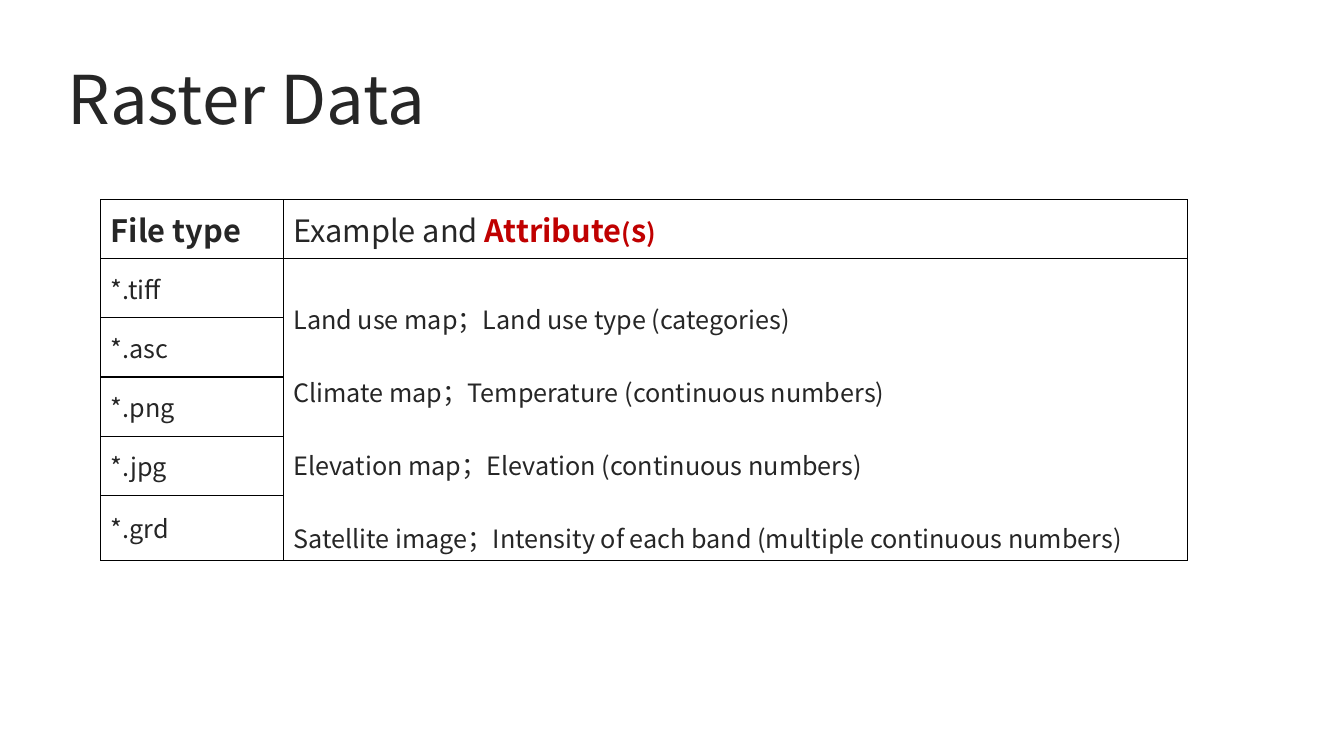
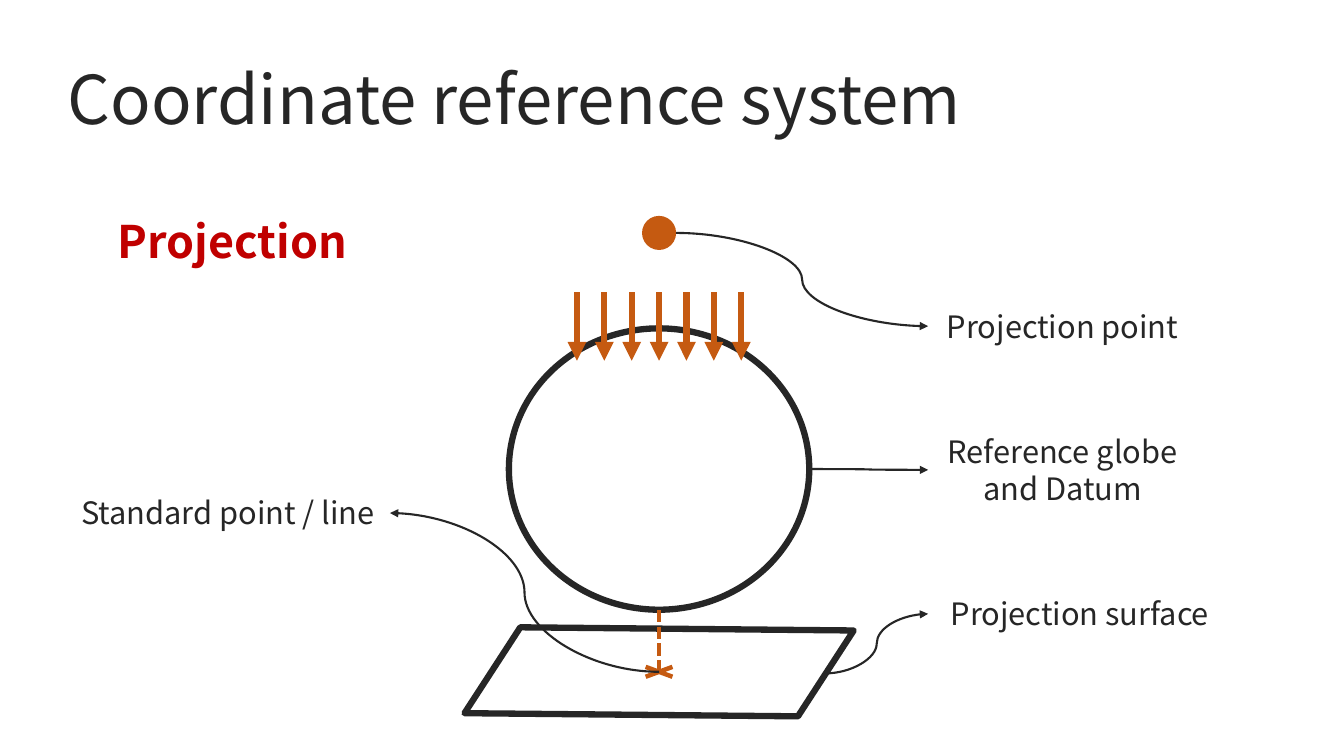
"""Build two slides on raster data and map projection."""
from lxml.etree import SubElement
from pptx import Presentation
from pptx.dml.color import RGBColor
from pptx.enum.dml import MSO_LINE as Dash
from pptx.enum.shapes import MSO_CONNECTOR as Link, MSO_SHAPE as Kind
from pptx.enum.text import MSO_ANCHOR as Anchor, MSO_AUTO_SIZE as Auto, PP_ALIGN as Align
from pptx.oxml import parse_xml
from pptx.oxml.ns import nsdecls, qn
from pptx.util import Cm, Pt

FACE = "Noto Sans CJK TC"
INK, RED, RUST, BLACK = "262626", "C00000", "C55A11", "000000"

HEAD = [
    [("File type", 22, INK, True)],
    [("Example and ", 22, INK, False), ("Attribute", 22, RED, True),
     ("(", 18, RED, True), ("s", 22, RED, True), (")", 18, RED, True)],
]
TYPES = ["*.tiff", "*.asc", "*.png", "*.jpg", "*.grd"]
MAPS = [
    "Land use map；Land use type (categories)",
    "Climate map；Temperature (continuous numbers)",
    "Elevation map；Elevation (continuous numbers)",
    "Satellite image；Intensity of each band (multiple continuous numbers)",
]
COLS, ROW = (4.6, 22.78), 1.49

MID, GLOBE, SHEET, DOT = 16.61, 11.82, 16.93, 5.87
SIDE = 7.09
FOOT = GLOBE + SIDE / 2
RAYS, STEP = 7, 0.69
LABELS = [
    ("Projection", 2.29, 5.26, 7.14, 1.63, 32, RED, True),
    ("Projection point", 23.39, 7.62, 6.78, 1.19, 22, INK, False),
    ("Reference globe and Datum", 23.39, 10.77, 6.78, 2.13, 22, INK, False),
    ("Projection surface", 23.39, 14.86, 7.65, 1.19, 22, INK, False),
    ("Standard point / line", 1.63, 12.32, 8.23, 1.19, 22, INK, False),
]
LEADS = [
    (20.8, 16.97, 23.39, 15.47),
    (20.4, 11.82, 23.39, 11.84),
    (17.04, DOT, 23.39, 8.22),
    (MID, SHEET, 9.83, 12.93),
]


def color(code):
    return RGBColor.from_string(code)


def style(run, size, code, bold=False):
    font = run.font
    font.size, font.bold, font.name = Pt(size), bold, FACE
    font.color.rgb = color(code)
    SubElement(run._r.get_or_add_rPr(), qn("a:ea"), typeface=FACE)


def write(para, parts):
    for text, *look in parts:
        run = para.add_run()
        run.text = text
        style(run, *look)


def start(deck, text):
    slide = deck.slides.add_slide(deck.slide_layouts[5])
    title = slide.shapes.title
    title.left, title.top, title.width, title.height = map(Cm, (1.45, 1.32, 30, 2.31))
    frame = title.text_frame
    frame.text = text
    frame.auto_size, frame.vertical_anchor = Auto.NONE, Anchor.TOP
    para = frame.paragraphs[0]
    para.alignment = Align.LEFT
    style(para.runs[0], 48, INK)
    return slide


def border(cell):
    cell.fill.background()
    for spot, side in enumerate("LRTB"):
        cell._tc.get_or_add_tcPr().insert(spot, parse_xml(
            f'<a:ln{side} {nsdecls("a")} w="12700"><a:solidFill>'
            f'<a:srgbClr val="{BLACK}"/></a:solidFill></a:ln{side}>'))


def raster(deck):
    slide = start(deck, "Raster Data")
    count = len(TYPES) + 1
    grid = slide.shapes.add_table(count, 2, Cm(2.54), Cm(5.03),
                                  Cm(sum(COLS)), Cm(ROW * count)).table
    grid.first_row = grid.horz_banding = False
    for col, wide in zip(grid.columns, COLS):
        col.width = Cm(wide)
    for row in grid.rows:
        row.height = Cm(ROW)
    for cell in grid.iter_cells():
        border(cell)
        cell.vertical_anchor = Anchor.MIDDLE
    for spot, parts in enumerate(HEAD):
        write(grid.cell(0, spot).text_frame.paragraphs[0], parts)
    for spot, text in enumerate(TYPES, 1):
        write(grid.cell(spot, 0).text_frame.paragraphs[0], [(text, 18, INK)])
    body = grid.cell(1, 1)
    body.merge(grid.cell(count - 1, 1))
    body.text_frame.text = "\n".join(MAPS)
    for para in body.text_frame.paragraphs:
        para.line_spacing = 2.0
        style(para.runs[0], 18, INK)


def shape(slide, kind, mid, wide, high, fill=None):
    item = slide.shapes.add_shape(kind, Cm(MID - wide / 2), Cm(mid - high / 2),
                                  Cm(wide), Cm(high))
    item.shadow.inherit = False
    if fill:
        item.fill.solid()
        item.fill.fore_color.rgb = color(fill)
        item.line.fill.background()
    else:
        item.fill.background()
        item.line.color.rgb = color(INK)
        item.line.width = Pt(4.5)
    return item


def link(slide, kind, ends, code, width, arrow=True):
    item = slide.shapes.add_connector(kind, *map(Cm, ends))
    item.line.color.rgb = color(code)
    item.line.width = Pt(width)
    if arrow:
        SubElement(item.line._get_or_add_ln(), qn("a:tailEnd"), type="triangle")
    SubElement(item._element.spPr, qn("a:effectLst"))
    return item


def system(deck):
    slide = start(deck, "Coordinate reference system")
    shape(slide, Kind.OVAL, GLOBE, 7.57, SIDE)
    sheet = shape(slide, Kind.PARALLELOGRAM, SHEET, SIDE, SIDE)
    sheet.adjustments[0] = 0.636
    sheet.rotation = 303
    sheet._element.spPr.xfrm.set("flipH", "1")
    drop = link(slide, Link.STRAIGHT, (MID, FOOT, MID, SHEET), RUST, 3, False)
    drop.line.dash_style = Dash.SQUARE_DOT
    shape(slide, Kind.OVAL, DOT, 0.86, 0.86, RUST)
    for spot in range(RAYS):
        left = MID + (spot - RAYS // 2) * STEP
        link(slide, Link.STRAIGHT, (left, 7.37, left, 9.09), RUST, 4.5)
    shape(slide, Kind.MATH_MULTIPLY, SHEET, 1.3, 0.48, RUST)
    for text, left, top, wide, high, *look in LABELS:
        frame = slide.shapes.add_textbox(*map(Cm, (left, top, wide, high))).text_frame
        frame.word_wrap = True
        para = frame.paragraphs[0]
        para.alignment = Align.CENTER
        write(para, [(text, *look)])
    for ends in LEADS:
        link(slide, Link.CURVE, ends, INK, 1.5)


def main():
    deck = Presentation()
    deck.slide_width, deck.slide_height = Cm(33.87), Cm(19.05)
    raster(deck)
    system(deck)
    deck.save("out.pptx")


if __name__ == "__main__":
    main()
